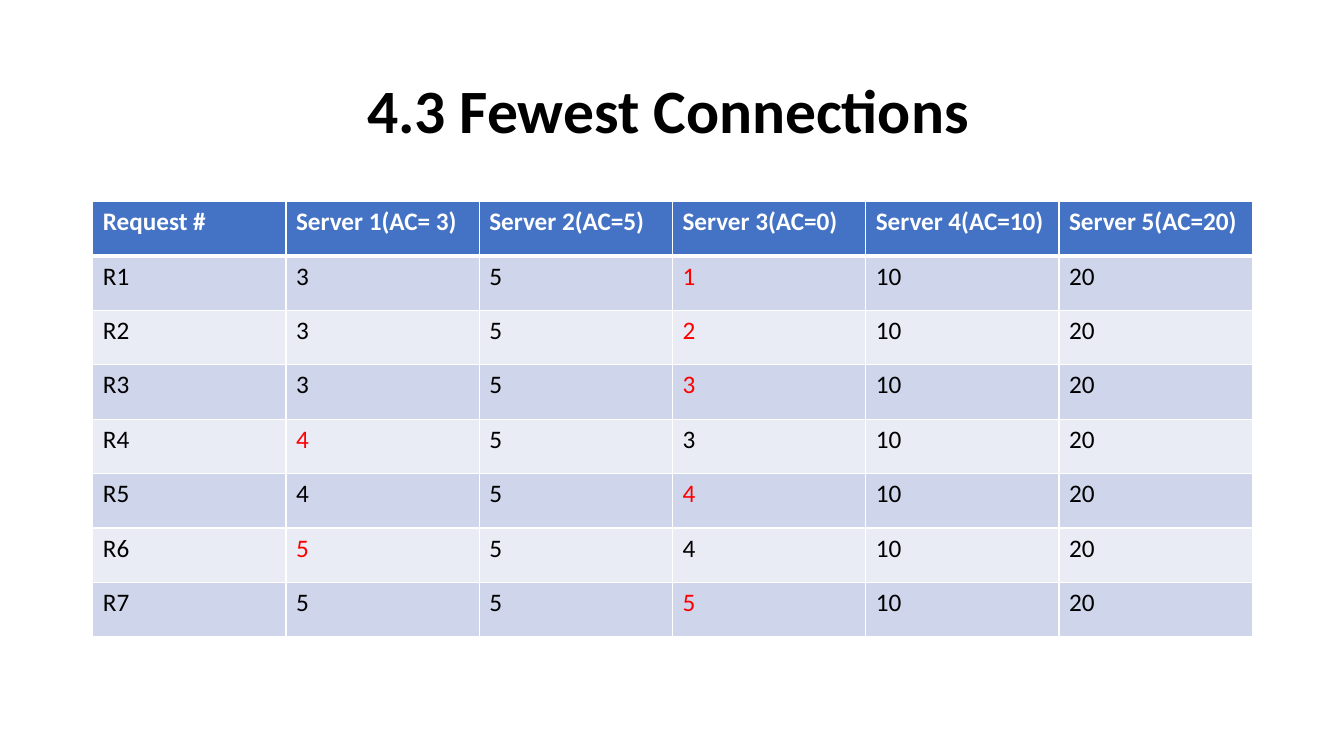
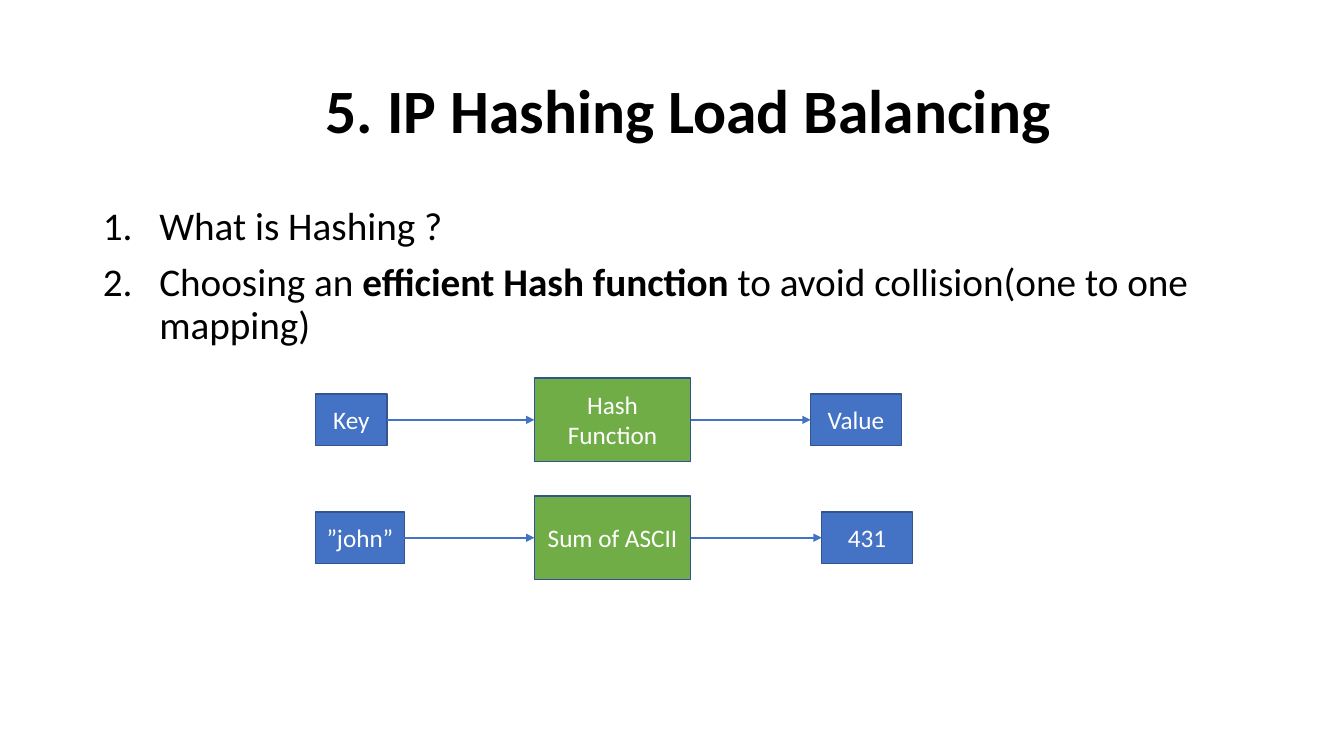
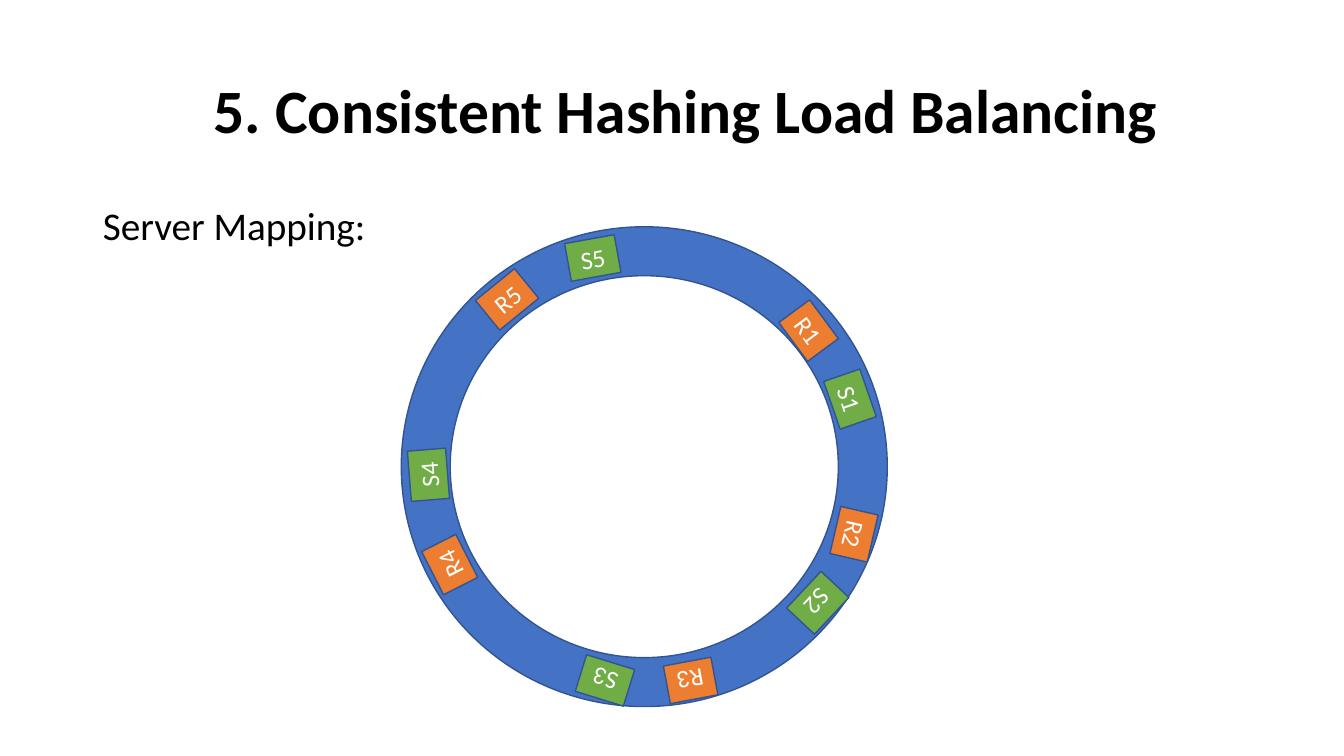
from dataclasses import dataclass

from lxml import etree
from pptx import Presentation
from pptx.dml.color import RGBColor
from pptx.enum.shapes import MSO_CONNECTOR, MSO_SHAPE
from pptx.enum.text import MSO_ANCHOR, MSO_AUTO_SIZE, PP_ALIGN
from pptx.oxml.ns import qn
from pptx.util import Pt

RECTANGLE, DONUT = MSO_SHAPE.RECTANGLE, MSO_SHAPE.DONUT
STRAIGHT = MSO_CONNECTOR.STRAIGHT
LEFT, CENTER = PP_ALIGN.LEFT, PP_ALIGN.CENTER
TOP, MIDDLE = MSO_ANCHOR.TOP, MSO_ANCHOR.MIDDLE
NO_AUTOFIT = MSO_AUTO_SIZE.NONE

EMU_PER_PX = 9144  # 100 px to the inch
FONT = "Calibri"
COLORS = {
    "black": "000000",
    "white": "FFFFFF",
    "red": "FF0000",
    "blue": "4472C4",
    "green": "70AD47",
    "orange": "ED7D31",
    "outline": "325491",
    "band_dark": "CFD5EA",
    "band_light": "E9EBF5",
}
TITLE_AND_CONTENT, TITLE_ONLY = 1, 5
CONTENT_LEFT, CONTENT_TOP, CONTENT_WIDTH = 92, 200, 1150


@dataclass(frozen=True)
class Box:
    text: str
    left: int
    top: int
    width: int
    height: int
    color: str
    rotation: float = 0


# Slide 1: active connections of each server after each request
HEADERS = ["Request #", "Server 1(AC= 3)", "Server 2(AC=5)", "Server 3(AC=0)",
           "Server 4(AC=10)", "Server 5(AC=20)"]
START_COUNTS = [3, 5, 0, 10, 20]
CHOSEN_SERVERS = [3, 3, 3, 1, 3, 1, 3]
ROW_HEIGHT = 54

# Slide 2: key, function and value of each hashing flow
HASH_FLOWS = [
    [Box("Key", 313, 391, 71, 51, "blue"),
     Box("Hash Function", 530, 375, 155, 83, "green"),
     Box("Value", 804, 391, 90, 51, "blue")],
    [Box("”john”", 313, 508, 88, 51, "blue"),
     Box("Sum of ASCII", 530, 492, 155, 83, "green"),
     Box("431", 815, 508, 90, 51, "blue")],
]

# Slide 3: requests and servers on the hash ring
RING = Box("", 398, 225, 482, 476, "blue")
RING_THICKNESS = 0.102
RING_MARKERS = [
    Box("R2", 823, 511, 48, 38, "orange", 103),
    Box("R1", 778, 309, 48, 38, "orange", 53.5),
    Box("R3", 661, 656, 48, 38, "orange", 169.4),
    Box("R4", 422, 541, 48, 38, "orange", 243.1),
    Box("R5", 478, 278, 50, 38, "orange", 320.8),
    Box("S5", 563, 237, 50, 38, "green", 349.7),
    Box("S4", 400, 452, 50, 38, "green", 265.5),
    Box("S3", 575, 656, 50, 38, "green", 197.2),
    Box("S2", 786, 579, 50, 38, "green", 133.1),
    Box("S1", 818, 377, 50, 38, "green", 70.9),
]


def px(length: int) -> int:
    return length * EMU_PER_PX


def rgb(name: str) -> RGBColor:
    return RGBColor.from_string(COLORS[name])


def add_text(paragraph, text: str, *, size: int = 18, color: str = "black",
             bold: bool = False, align=LEFT) -> None:
    paragraph.alignment = align
    run = paragraph.add_run()
    run.text = text
    font = run.font
    font.name, font.size, font.bold = FONT, Pt(size), bold
    font.color.rgb = rgb(color)


def place(shape, left: int, top: int, width: int, height: int) -> None:
    shape.left, shape.top = px(left), px(top)
    shape.width, shape.height = px(width), px(height)


def add_titled_slide(presentation, layout: int, title: str, indent: int):
    slide = presentation.slides.add_slide(presentation.slide_layouts[layout])
    shape = slide.shapes.title
    place(shape, CONTENT_LEFT, 40, CONTENT_WIDTH, 145)
    frame = shape.text_frame
    frame.auto_size, frame.vertical_anchor = NO_AUTOFIT, MIDDLE
    frame.margin_left = px(indent)
    paragraph = frame.paragraphs[0]
    paragraph.line_spacing = 0.9
    add_text(paragraph, title, size=44, bold=True)
    return slide


def fill_body(slide, items: list[list[tuple[str, bool]]], numbered: bool) -> None:
    """Write each item, a list of (text, bold) pieces, as one paragraph."""
    body = slide.placeholders[1]
    place(body, CONTENT_LEFT, CONTENT_TOP, CONTENT_WIDTH, 476)
    frame = body.text_frame
    frame.auto_size, frame.vertical_anchor = NO_AUTOFIT, TOP
    hanging = px(56) if numbered else 0
    for index, pieces in enumerate(items):
        paragraph = frame.add_paragraph() if index else frame.paragraphs[0]
        paragraph.line_spacing, paragraph.space_before = 0.9, Pt(10)
        for text, bold in pieces:
            add_text(paragraph, text, size=28, bold=bold)
        properties = paragraph._p.get_or_add_pPr()
        properties.set("marL", str(hanging))
        properties.set("indent", str(-hanging))
        if numbered:
            bullet = etree.SubElement(properties, qn("a:buAutoNum"))
            bullet.set("type", "arabicPeriod")
        else:
            etree.SubElement(properties, qn("a:buNone"))


def add_box(slide, box: Box, preset=RECTANGLE):
    shape = slide.shapes.add_shape(preset, 0, 0, 0, 0)
    place(shape, box.left, box.top, box.width, box.height)
    shape.rotation = box.rotation
    shape.shadow.inherit = False
    shape.fill.solid()
    shape.fill.fore_color.rgb = rgb(box.color)
    shape.line.color.rgb = rgb("outline")
    shape.line.width = Pt(1)
    if box.text:
        shape.text_frame.vertical_anchor = MIDDLE
        add_text(shape.text_frame.paragraphs[0], box.text, color="white", align=CENTER)
    return shape


def add_arrow(slide, source, target) -> None:
    """Join the right side of source to the left side of target."""
    arrow = slide.shapes.add_connector(STRAIGHT, 0, 0, 0, 0)
    arrow.begin_connect(source, 3)
    arrow.end_connect(target, 1)
    arrow.line.color.rgb = rgb("blue")
    arrow.line.width = Pt(1.5)
    head = etree.SubElement(arrow.line._get_or_add_ln(), qn("a:tailEnd"))
    head.set("type", "triangle")
    etree.SubElement(arrow._element.spPr, qn("a:effectLst"))


def set_borders(cell, top: int, bottom: int) -> None:
    properties = cell._tc.get_or_add_tcPr()
    for side, width in {"L": 1, "R": 1, "T": top, "B": bottom}.items():
        line = etree.SubElement(properties, qn(f"a:ln{side}"), w=str(Pt(width)))
        fill = etree.SubElement(line, qn("a:solidFill"))
        etree.SubElement(fill, qn("a:srgbClr"), val=COLORS["white"])


def format_cell(cell, text: str, fill: str, color: str, row: int) -> None:
    header = row == 0
    set_borders(cell, top=3 if row == 1 else 1, bottom=3 if header else 1)
    cell.fill.solid()
    cell.fill.fore_color.rgb = rgb(fill)
    add_text(cell.text_frame.paragraphs[0], text, color=color, bold=header)


def add_connections_table(slide) -> None:
    row_count = len(CHOSEN_SERVERS) + 1
    frame = slide.shapes.add_table(
        row_count, len(HEADERS), px(CONTENT_LEFT), px(CONTENT_TOP),
        px(CONTENT_WIDTH), px(ROW_HEIGHT * row_count))
    table = frame.table
    for column, header in enumerate(HEADERS):
        format_cell(table.cell(0, column), header, "blue", "white", 0)

    # Each request adds one connection to the chosen server, shown in red
    counts = list(START_COUNTS)
    for row, chosen in enumerate(CHOSEN_SERVERS, start=1):
        counts[chosen - 1] += 1
        fill = "band_dark" if row % 2 else "band_light"
        for column, value in enumerate([f"R{row}", *counts]):
            color = "red" if column == chosen else "black"
            format_cell(table.cell(row, column), str(value), fill, color, row)


def build_fewest_connections(presentation) -> None:
    slide = add_titled_slide(presentation, TITLE_ONLY, "4.3 Fewest Connections", 272)
    add_connections_table(slide)


def build_ip_hashing(presentation) -> None:
    slide = add_titled_slide(presentation, TITLE_AND_CONTENT,
                             "5. IP Hashing Load Balancing", 231)
    fill_body(slide, [
        [("What is Hashing ?", False)],
        [("Choosing an ", False), ("efficient Hash function ", True),
         ("to avoid collision(one to one mapping)", False)],
    ], numbered=True)
    for flow in HASH_FLOWS:
        shapes = [add_box(slide, box) for box in flow]
        for source, target in zip(shapes, shapes[1:]):
            add_arrow(slide, source, target)


def build_consistent_hashing(presentation) -> None:
    slide = add_titled_slide(presentation, TITLE_AND_CONTENT,
                             "5. Consistent Hashing Load Balancing", 120)
    fill_body(slide, [[("Server Mapping:", False)]], numbered=False)
    ring = add_box(slide, RING, DONUT)
    ring.adjustments[0] = RING_THICKNESS
    for marker in RING_MARKERS:
        add_box(slide, marker)


def main() -> None:
    presentation = Presentation()
    presentation.slide_width, presentation.slide_height = px(1333), px(750)
    build_fewest_connections(presentation)
    build_ip_hashing(presentation)
    build_consistent_hashing(presentation)
    presentation.save("out.pptx")


if __name__ == "__main__":
    main()
